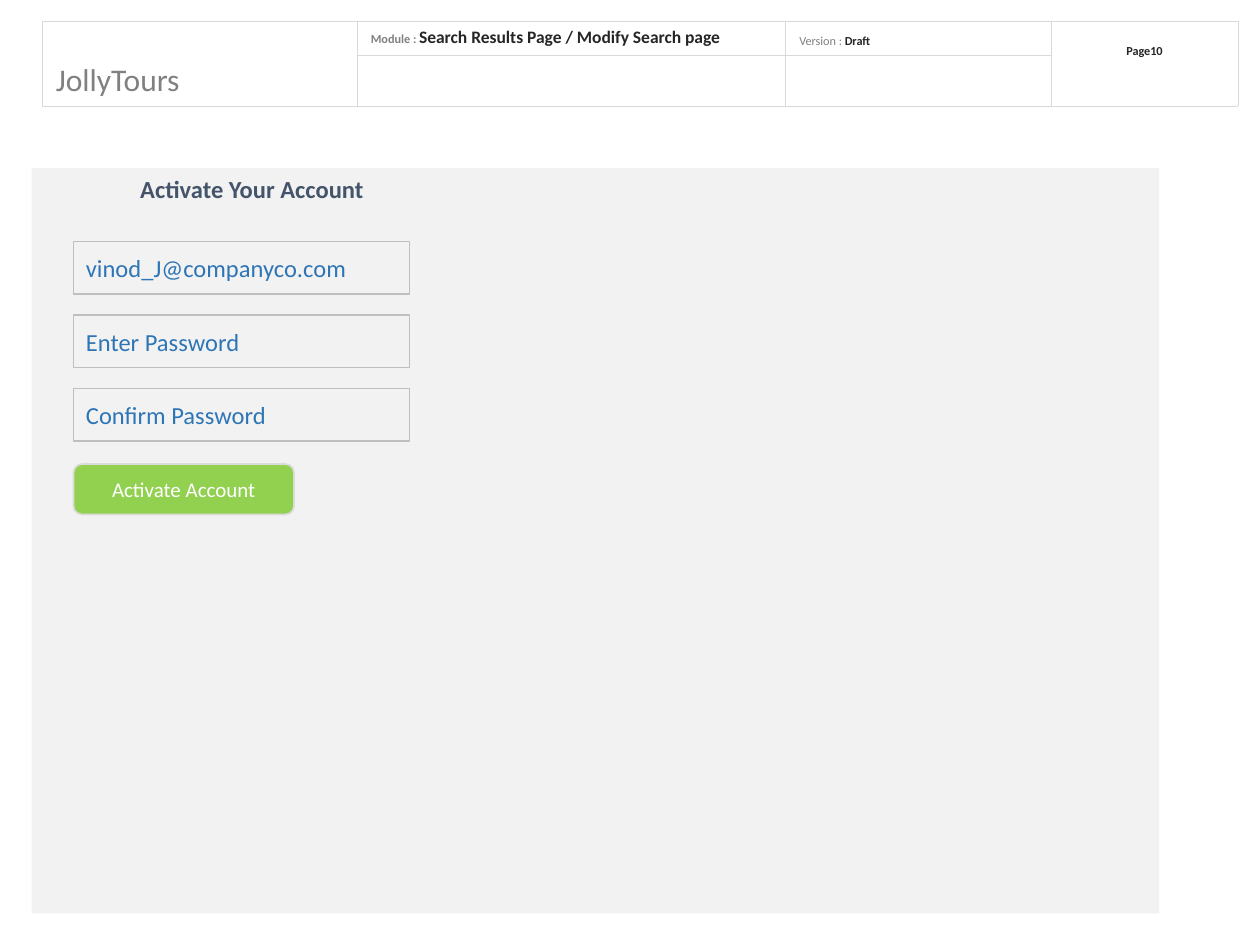
from lxml.etree import SubElement
from pptx import Presentation
from pptx.dml.color import RGBColor
from pptx.enum.shapes import MSO_SHAPE as Shape
from pptx.enum.text import MSO_ANCHOR as Anchor, MSO_AUTO_SIZE as AutoSize, PP_ALIGN as Align
from pptx.oxml.ns import qn
from pptx.util import Pt

COLORS = {
    "panel": "F2F2F2", "field_line": "BFBFBF", "field_text": "2E75B6",
    "title": "44546A", "button": "92D050", "button_line": "DBDBDB",
    "white": "FFFFFF", "grid": "D9D9D9", "label": "808080", "value": "262626",
}


def rgb(name):
    return RGBColor.from_string(COLORS[name])


def add_text(frame, text, size, color, bold=False, align=Align.LEFT):
    paragraph = frame.paragraphs[0]
    paragraph.alignment = align
    run = paragraph.add_run()
    run.text = text
    run.font.name = "Calibri"
    run.font.size = Pt(size)
    run.font.bold = bold
    run.font.color.rgb = rgb(color)


def add_box(slide, kind, left, top, width, height, fill, line=None):
    shape = slide.shapes.add_shape(kind, Pt(left), Pt(top), Pt(width), Pt(height))
    shape.shadow.inherit = False
    shape.fill.solid()
    shape.fill.fore_color.rgb = rgb(fill)
    if line:
        shape.line.color.rgb = rgb(line)
        shape.line.width = Pt(1)
    else:
        shape.line.fill.background()
    shape.text_frame.word_wrap = True
    shape.text_frame.vertical_anchor = Anchor.MIDDLE
    return shape


def format_cell(cell):
    cell.fill.background()
    cell.vertical_anchor = Anchor.BOTTOM
    cell.margin_left = cell.margin_right = Pt(7.92)
    cell.margin_top = cell.margin_bottom = Pt(3.6)
    properties = cell._tc.get_or_add_tcPr()
    for index, side in enumerate(("lnL", "lnR", "lnT", "lnB")):
        border = properties.makeelement(qn(f"a:{side}"), {"w": str(Pt(0.25))})
        fill = SubElement(border, qn("a:solidFill"))
        SubElement(fill, qn("a:srgbClr"), val=COLORS["grid"])
        properties.insert(index, border)


def add_header(slide, left, top, width, height):
    table = slide.shapes.add_table(2, 4, Pt(left), Pt(top), Pt(width), Pt(height)).table
    table.first_row = table.horz_banding = False
    for column, column_width in zip(table.columns, (180, 244.8, 151.92, 106.56)):
        column.width = Pt(column_width)
    for row, row_height in zip(table.rows, (15.12, 20.88)):
        row.height = Pt(row_height)
    for cell in table.iter_cells():
        format_cell(cell)
    for column in (0, 3):
        table.cell(0, column).merge(table.cell(1, column))

    brand, module, version, page = (table.cell(0, column) for column in range(4))
    add_text(brand.text_frame, "JollyTours", 18, "label")
    add_text(module.text_frame, "Module : ", 7, "label", bold=True)
    add_text(module.text_frame, "Search Results Page / Modify Search page", 10, "value", bold=True)
    add_text(version.text_frame, "Version : ", 7, "label")
    add_text(version.text_frame, "Draft", 7, "value", bold=True)
    page.vertical_anchor = Anchor.MIDDLE
    page.margin_bottom = Pt(17)
    add_text(page.text_frame, "Page10", 7, "value", bold=True, align=Align.CENTER)


def add_activation_form(slide, left, top, width, height):
    add_box(slide, Shape.RECTANGLE, left, top, width, height, "panel")

    title = slide.shapes.add_textbox(Pt(left), Pt(top), Pt(252), Pt(24.2)).text_frame
    title.word_wrap = True
    title.auto_size = AutoSize.SHAPE_TO_FIT_TEXT
    add_text(title, "Activate Your Account", 14, "title", bold=True, align=Align.CENTER)

    field_left = left + 24
    for index, label in enumerate(("vinod_J@companyco.com", "Enter Password", "Confirm Password")):
        field = add_box(slide, Shape.RECTANGLE, field_left, top + 42 + 42 * index, 192, 30,
                        "panel", "field_line")
        add_text(field.text_frame, label, 14, "field_text")

    button = add_box(slide, Shape.ROUNDED_RECTANGLE, field_left, top + 169.2, 126, 28.8,
                     "button", "button_line")
    add_text(button.text_frame, "Activate Account", 12, "white", align=Align.CENTER)


def main():
    presentation = Presentation()
    presentation.slide_width, presentation.slide_height = Pt(720), Pt(540)
    slide = presentation.slides.add_slide(presentation.slide_layouts[6])
    add_header(slide, 24, 12, 683.28, 41.04)
    add_activation_form(slide, 18, 96, 644.4, 426)
    presentation.save("out.pptx")


if __name__ == "__main__":
    main()
